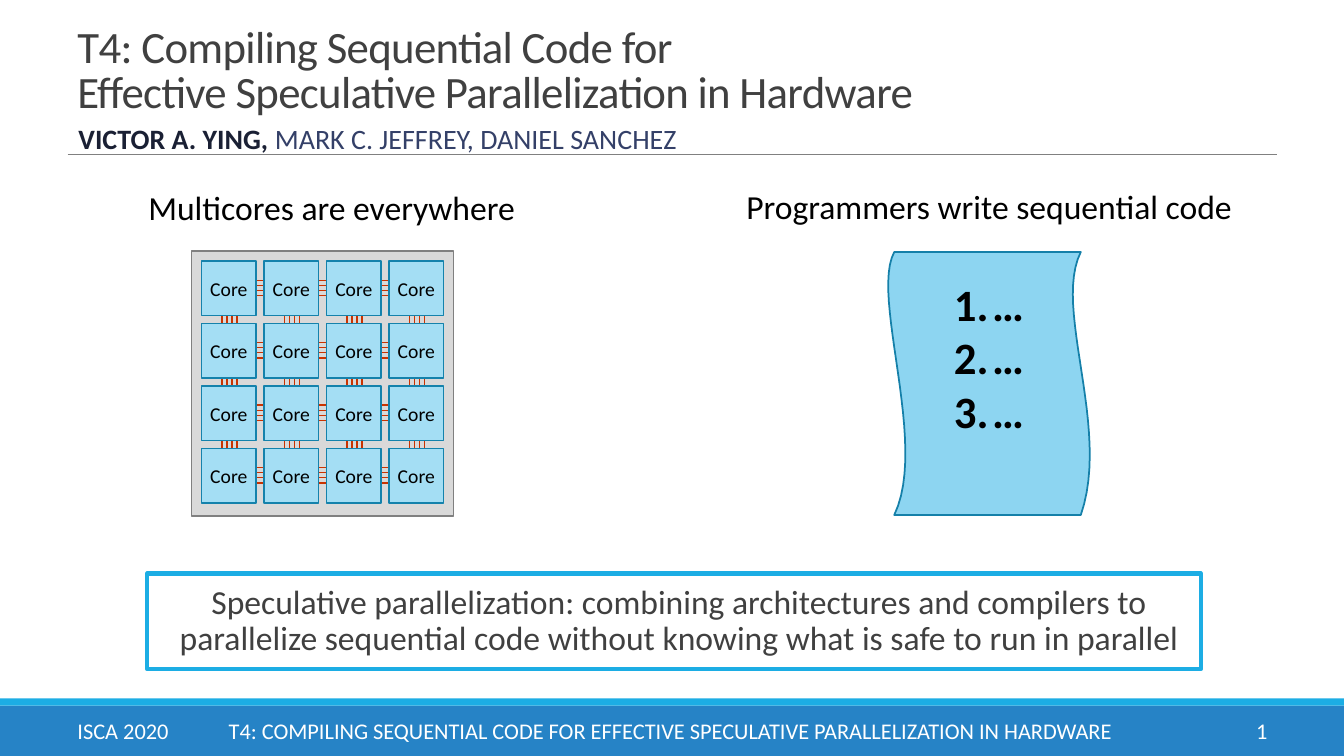
from lxml.etree import SubElement
from pptx import Presentation
from pptx.dml.color import RGBColor
from pptx.enum.shapes import MSO_CONNECTOR, MSO_SHAPE
from pptx.enum.text import MSO_ANCHOR, PP_ALIGN
from pptx.oxml.ns import qn
from pptx.util import Inches, Pt

FONT = "Calibri"
WHITE = RGBColor(0xFF, 0xFF, 0xFF)
BLACK = RGBColor(0x00, 0x00, 0x00)
DARK_GRAY = RGBColor(0x40, 0x40, 0x40)
GRAY = RGBColor(0x80, 0x80, 0x80)
CHIP_GRAY = RGBColor(0xD9, 0xD9, 0xD9)
FOOTER_BLUE = RGBColor(0x26, 0x83, 0xC6)
CYAN = RGBColor(0x1C, 0xAD, 0xE4)
SCROLL_EDGE = RGBColor(0x15, 0x80, 0xA9)
CORE_FILL = RGBColor(0xA4, 0xDE, 0xF4)
CORE_EDGE = RGBColor(0x14, 0x82, 0xAC)
WIRE = RGBColor(0xC9, 0x33, 0x00)
NAVY = RGBColor(0x1A, 0x20, 0x34)
SLATE = RGBColor(0x34, 0x40, 0x68)

GRID_SIZE = 4
GRID_PITCH = 0.62
WIRE_GAP = 0.05


def add_span(para, text, size, color, bold=False, tracking=0):
    span = para.add_run()
    span.text = text
    span.font.name = FONT
    span.font.size = Pt(size)
    span.font.bold = bold
    span.font.color.rgb = color
    if tracking:
        span.font._element.set("spc", str(tracking))


def write_text(box, text, size=24, color=BLACK, align=PP_ALIGN.LEFT,
               anchor=MSO_ANCHOR.MIDDLE, bold=False, tracking=0, line_spacing=None,
               space_before=0, space_after=0, insets=(0.1, 0.05), margin=0):
    frame = box.text_frame
    frame.word_wrap = True
    frame.vertical_anchor = anchor
    frame.margin_left = frame.margin_right = Inches(insets[0])
    frame.margin_top = frame.margin_bottom = Inches(insets[1])
    para = frame.paragraphs[0]
    para.alignment = align
    para.line_spacing = line_spacing
    para.space_before = Pt(space_before)
    para.space_after = Pt(space_after)
    if margin:
        para._p.get_or_add_pPr().set("marL", str(Inches(margin)))
    for index, line in enumerate(text.split("\n")):
        if index:
            para.add_line_break()
        add_span(para, line, size, color, bold, tracking)
    return para


def add_label(page, area, text, **style):
    box = page.shapes.add_textbox(*map(Inches, area))
    return write_text(box, text, **style)


def paint(shape, fill=None, line=None, width=1):
    shape.shadow.inherit = False
    if fill is None:
        shape.fill.background()
    else:
        shape.fill.solid()
        shape.fill.fore_color.rgb = fill
    if line is None:
        shape.line.fill.background()
    else:
        shape.line.color.rgb = line
        shape.line.width = Pt(width)


def add_rectangle(shapes, area, **look):
    box = shapes.add_shape(MSO_SHAPE.RECTANGLE, *map(Inches, area))
    paint(box, **look)
    return box


def add_line(shapes, ends, color, width):
    line = shapes.add_connector(MSO_CONNECTOR.STRAIGHT, *map(Inches, ends))
    line.line.color.rgb = color
    line.line.width = Pt(width)
    SubElement(line._element.spPr, qn("a:effectLst"))


def add_multicore(page):
    chip = page.shapes.add_group_shape().shapes
    add_rectangle(chip, (1.9, 2.49, 2.6, 2.63), fill=CHIP_GRAY, line=GRAY)
    for lane in range(GRID_SIZE):
        for wire in range(4):
            shift = lane * GRID_PITCH + wire * WIRE_GAP
            add_line(chip, (2.3, 2.78 + shift, 4.15, 2.78 + shift), WIRE, 1)
            add_line(chip, (2.2 + shift, 2.9, 2.2 + shift, 4.75), WIRE, 1)
    for row in range(GRID_SIZE):
        for column in range(GRID_SIZE):
            area = (2 + column * GRID_PITCH, 2.59 + row * GRID_PITCH, 0.54, 0.54)
            core = add_rectangle(chip, area, fill=CORE_FILL, line=CORE_EDGE)
            write_text(core, "Core", size=14, align=PP_ALIGN.CENTER, insets=(0, 0.05))


def curve_points(start, first, second, end, steps=24):
    points = []
    for step in range(1, steps + 1):
        t = step / steps
        weights = ((1 - t) ** 3, 3 * t * (1 - t) ** 2, 3 * t * t * (1 - t), t ** 3)
        points.append(tuple(
            Inches(sum(weight * value for weight, value in zip(weights, values)))
            for values in zip(start, first, second, end)))
    return points


def add_scroll(page):
    top_left, top_right = (8.87, 2.5), (10.72, 2.5)
    bottom_left, bottom_right = (8.87, 5.11), (10.72, 5.11)
    builder = page.shapes.build_freeform(*map(Inches, top_left))
    builder.add_line_segments(
        [tuple(map(Inches, top_right))]
        + curve_points(top_right, (10.44, 3.06), (11.02, 4.24), bottom_right)
        + [tuple(map(Inches, bottom_left))]
        + curve_points(bottom_left, (9.21, 4.4), (8.63, 2.94), top_left))
    scroll = builder.convert_to_shape()
    paint(scroll, fill=CYAN, line=SCROLL_EDGE, width=1.25)
    color = scroll._element.spPr.find(qn("a:solidFill"))[0]
    SubElement(color, qn("a:alpha"), val="50000")

    frame = scroll.text_frame
    frame.vertical_anchor = MSO_ANCHOR.TOP
    frame.margin_top = Inches(0.24)
    for number in range(3):
        para = frame.add_paragraph() if number else frame.paragraphs[0]
        para.alignment = PP_ALIGN.CENTER
        add_span(para, "…", 32, BLACK, bold=True)
        settings = para._p.get_or_add_pPr()
        settings.set("marL", str(Inches(0.38)))
        settings.set("indent", str(Inches(-0.38)))
        SubElement(settings, qn("a:buFont"), typeface="+mj-lt")
        SubElement(settings, qn("a:buAutoNum"), type="arabicPeriod")


def add_footer(page):
    add_rectangle(page.shapes, (0, 7, 13.33, 0.5), fill=FOOTER_BLUE)
    add_rectangle(page.shapes, (0, 6.93, 13.33, 0.07), fill=CYAN)
    add_label(page, (11.24, 7.05, 1.43, 0.4), "1", size=16, color=WHITE,
              align=PP_ALIGN.RIGHT)
    para = add_label(
        page, (0.67, 7.05, 10.57, 0.4),
        "ISCA 2020\t\tT4: COMPILING SEQUENTIAL CODE FOR EFFECTIVE "
        "SPECULATIVE PARALLELIZATION IN HARDWARE", size=16, color=WHITE)
    stops = SubElement(para._p.get_or_add_pPr(), qn("a:tabLst"))
    for position in (1, 1.5):
        SubElement(stops, qn("a:tab"), pos=str(Inches(position)), algn="l")


def add_heading(page):
    add_line(page.shapes, (0.67, 1.53, 12.67, 1.53), GRAY, 0.5)
    add_label(page, (0.67, 0.13, 12, 1.09),
              "T4: Compiling Sequential Code for\n"
              "Effective Speculative Parallelization in Hardware",
              size=32, color=DARK_GRAY, anchor=MSO_ANCHOR.BOTTOM,
              tracking=-50, line_spacing=0.85)
    authors = add_label(page, (0.68, 1.09, 11, 0.61), "VICTOR A. YING,", size=20,
                        color=NAVY, bold=True, line_spacing=0.9,
                        space_before=12, space_after=2)
    add_span(authors, " MARK C. JEFFREY, DANIEL SANCHEZ", 20, SLATE)


def main():
    deck = Presentation()
    deck.slide_width, deck.slide_height = Inches(13.33), Inches(7.5)
    page = deck.slides.add_slide(deck.slide_layouts[6])
    add_footer(page)
    add_heading(page)
    add_scroll(page)
    summary = add_rectangle(page.shapes, (1.46, 5.69, 10.45, 0.95), line=CYAN, width=3)
    write_text(summary,
               "Speculative parallelization: combining architectures and compilers to\n"
               "parallelize sequential code without knowing what is safe to run in parallel",
               color=DARK_GRAY, align=PP_ALIGN.CENTER, line_spacing=0.9,
               space_before=12, space_after=2, insets=(0, 0.05), margin=0.1)
    add_multicore(page)
    for area, caption in (((0.95, 1.81, 4.68, 0.5), "Multicores are everywhere"),
                          ((6.74, 1.8, 6.14, 0.5), "Programmers write sequential code")):
        add_label(page, area, caption, align=PP_ALIGN.CENTER, anchor=MSO_ANCHOR.TOP)
    deck.save("out.pptx")


if __name__ == "__main__":
    main()
